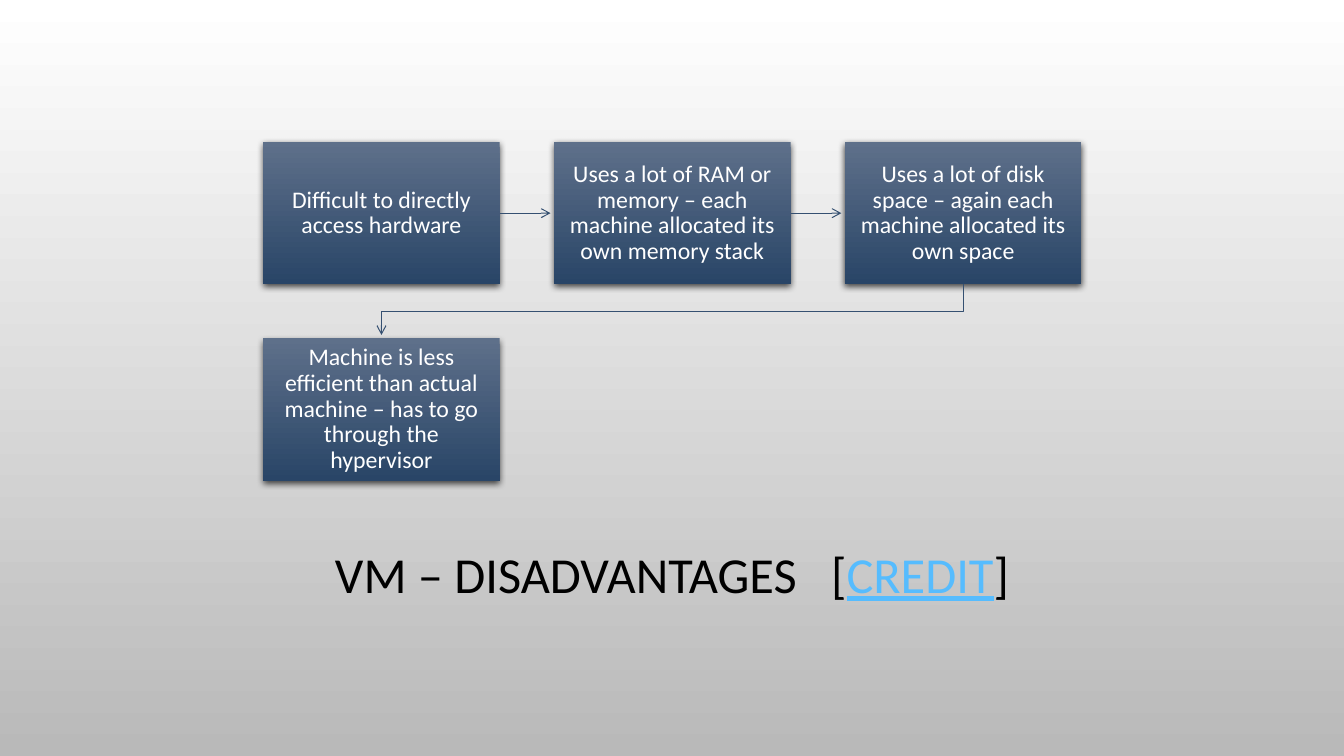
from dataclasses import dataclass

from lxml import etree
from pptx import Presentation
from pptx import util as u
from pptx.dml.color import RGBColor
from pptx.enum import shapes, text
from pptx.oxml import parse_xml
from pptx.oxml.ns import nsdecls, qn

Pt = u.Pt


@dataclass(frozen=True)
class Theme:
    font: str = "Calibri"
    title_size: float = 36
    box_size: float = 17
    backdrop: tuple = ("FFFFFF", "B9B9B9")
    box_fill: tuple = ("5E708A", "294567")
    box_text: str = "FFFFFF"
    title_text: str = "000000"
    link_text: str = "56BCFE"
    arrow: str = "355071"
    shadow: str = "000000"


class SlideBuilder:
    """Draw styled elements on one slide, with lengths in points."""

    def __init__(self, prs, theme):
        self.theme = theme
        self.slide = prs.slides.add_slide(prs.slide_layouts[6])
        self.gradient(self.slide.background.fill, theme.backdrop)

    def gradient(self, fill, colors):
        fill.gradient()
        fill.gradient_angle = 270
        for stop, color in zip(fill.gradient_stops, colors):
            stop.color.rgb = RGBColor.from_string(color)

    def paragraph(self, tf, margin):
        tf.word_wrap = True
        tf.vertical_anchor = text.MSO_ANCHOR.MIDDLE
        tf.margin_left = tf.margin_right = Pt(margin)
        tf.margin_top = tf.margin_bottom = Pt(margin)
        p = tf.paragraphs[0]
        p.alignment = text.PP_ALIGN.CENTER
        p.line_spacing = 0.9
        return p

    def run(self, p, words, size, color, underline=False, spacing=0):
        r = p.add_run()
        r.text = words
        r.font.name = self.theme.font
        r.font.size = Pt(size)
        r.font.color.rgb = RGBColor.from_string(color)
        if underline:
            r.font.underline = True
        if spacing:
            r.font._element.set("spc", str(round(spacing * 100)))

    def box(self, left, top, width, height, words):
        sp = self.slide.shapes.add_shape(
            shapes.MSO_SHAPE.RECTANGLE, Pt(left), Pt(top), Pt(width), Pt(height))
        self.gradient(sp.fill, self.theme.box_fill)
        sp.line.fill.background()
        sp.shadow.inherit = False
        sp._element.spPr.find(qn("a:effectLst")).append(parse_xml(
            f'<a:outerShdw {nsdecls("a")} blurRad="{Pt(5)}" dist="{Pt(2)}" '
            f'dir="5400000" rotWithShape="0"><a:srgbClr val="{self.theme.shadow}">'
            '<a:alpha val="69000"/></a:srgbClr></a:outerShdw>'))
        p = self.paragraph(sp.text_frame, 8.6)
        self.run(p, words, self.theme.box_size, self.theme.box_text)

    def arrow_style(self, sp):
        sp.line.color.rgb = RGBColor.from_string(self.theme.arrow)
        sp.line.width = Pt(0.75)
        ln = sp.line._get_or_add_ln()
        etree.SubElement(ln, qn("a:tailEnd"), type="arrow")

    def arrow(self, start, end):
        sp = self.slide.shapes.add_connector(
            shapes.MSO_CONNECTOR.STRAIGHT, *(Pt(v) for v in (*start, *end)))
        self.arrow_style(sp)
        etree.SubElement(sp._element.spPr, qn("a:effectLst"))

    def bent_arrow(self, *points):
        start, *rest = [(Pt(x), Pt(y)) for x, y in points]
        path = self.slide.shapes.build_freeform(*start)
        path.add_line_segments(rest, close=False)
        sp = path.convert_to_shape()
        sp.fill.background()
        sp.shadow.inherit = False
        self.arrow_style(sp)

    def title(self, left, top, width, height, runs):
        sp = self.slide.shapes.add_textbox(
            Pt(left), Pt(top), Pt(width), Pt(height))
        p = self.paragraph(sp.text_frame, 3.6)
        for words, color, underline, spacing in runs:
            self.run(p, words, self.theme.title_size, color, underline, spacing)


def main():
    prs = Presentation()
    prs.slide_width, prs.slide_height = Pt(960), Pt(540)
    theme = Theme()
    s = SlideBuilder(prs, theme)

    left, top, width, height = 188, 101.5, 169, 101.5
    pitch_x, pitch_y, columns = 207.75, 140.25, 3
    drawbacks = [
        "Difficult to directly access hardware",
        "Uses a lot of RAM or memory – each machine allocated its own memory stack",
        "Uses a lot of disk space – again each machine allocated its own space",
        "Machine is less efficient than actual machine – has to go through the hypervisor",
    ]

    for i, words in enumerate(drawbacks):
        row, col = divmod(i, columns)
        s.box(left + col * pitch_x, top + row * pitch_y, width, height, words)

    middle = top + height / 2
    for col in range(columns - 1):
        x = left + col * pitch_x
        s.arrow((x + width, middle), (x + pitch_x - 2.5, middle))

    first = left + width / 2
    last = first + (columns - 1) * pitch_x
    bottom, next_top = top + height, top + pitch_y
    turn = (bottom + next_top) / 2
    s.bent_arrow((last, bottom), (last, turn), (first, turn), (first, next_top - 2.5))

    s.title(72, 361.5, 816, 102, [
        ("VM – DISADVANTAGES", theme.title_text, False, 0),
        (" ", theme.title_text, False, 16.25),
        ("[", theme.title_text, False, 0),
        ("CREDIT", theme.link_text, True, 0),
        ("]", theme.title_text, False, 0),
    ])
    prs.save("out.pptx")


if __name__ == "__main__":
    main()
